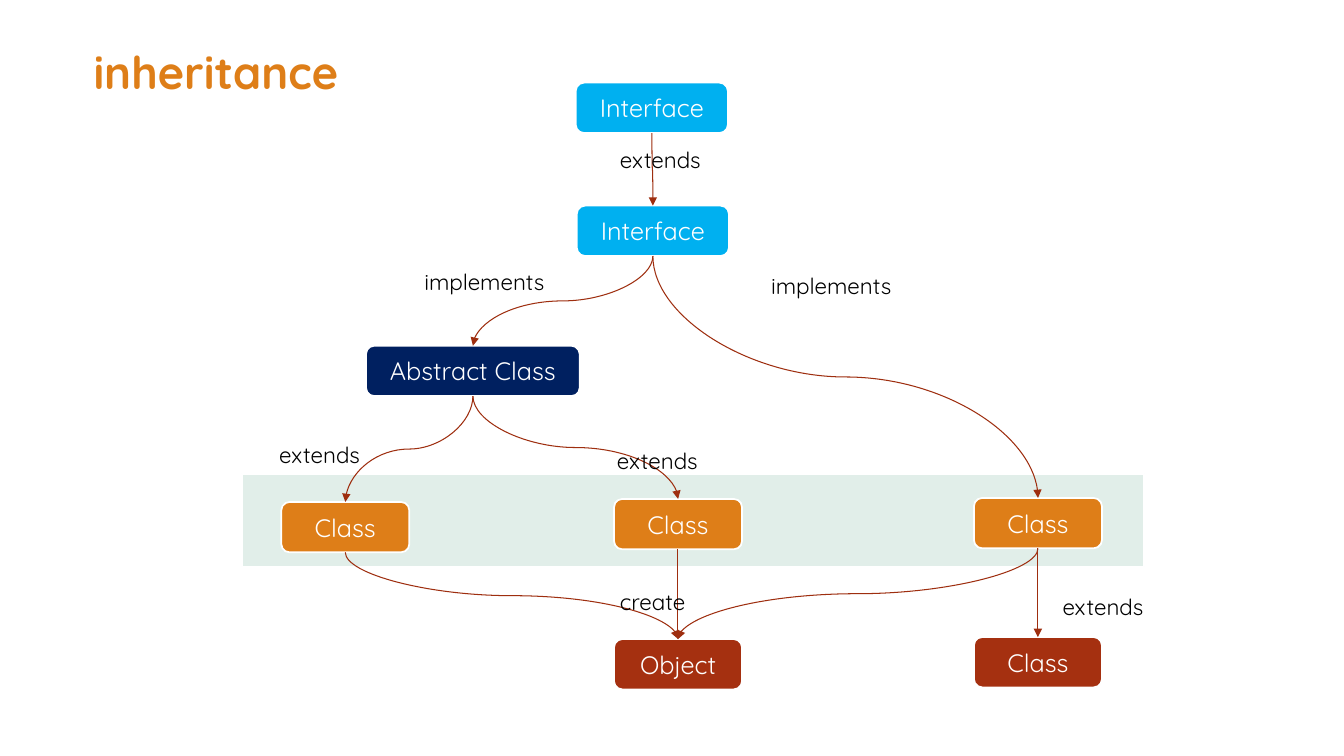
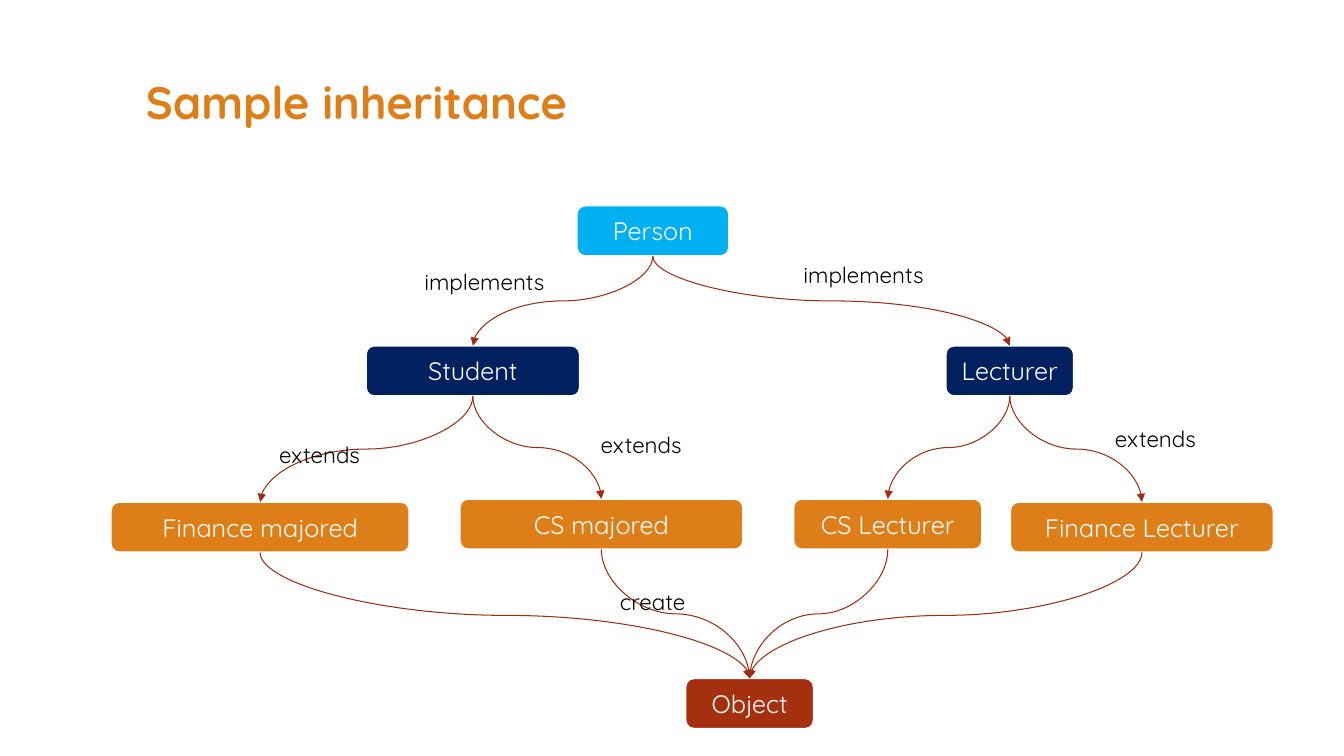
from lxml import etree
from pptx import Presentation
from pptx.dml.color import RGBColor
from pptx.enum.shapes import MSO_CONNECTOR as Link, MSO_SHAPE as Form
from pptx.enum.text import MSO_ANCHOR as Anchor, PP_ALIGN as Align
from pptx.oxml.ns import qn
from pptx.util import Inches, Pt

FONT = "Quicksand"
SKY, NAVY, ORANGE, RUST = "00B0F0", "002060", "DE7E18", "A53010"
WHITE, BLACK, MINT, WINE = "FFFFFF", "000000", "E1EEE9", "9E2E0F"
HIGH = 0.5


def paint(part, color):
    if hasattr(part, "solid"):
        part.solid()
        part.fore_color.rgb = RGBColor.from_string(color)
    else:
        part.color.rgb = RGBColor.from_string(color)


def write(shape, text, size, color, bold=False):
    frame = shape.text_frame
    frame.word_wrap = True
    frame.text = text
    font = frame.paragraphs[0].runs[0].font
    font.name, font.size, font.bold = FONT, Pt(size), bold
    paint(font, color)


pages = [
    {
        "title": ("inheritance", 0.83, 0.39),
        "band": (2.4, 4.7, 8.95, 0.92),
        "cards": {
            "top": ("Interface", 5.71, 0.82, 1.51, SKY),
            "face": ("Interface", 5.72, 2.04, 1.51, SKY),
            "base": ("Abstract Class", 3.63, 3.43, 2.12, NAVY),
            "left": ("Class", 2.79, 4.98, 1.27, ORANGE),
            "mid": ("Class", 6.09, 4.95, 1.27, ORANGE),
            "right": ("Class", 9.66, 4.94, 1.27, ORANGE),
            "object": ("Object", 6.09, 6.34, 1.27, RUST),
            "child": ("Class", 9.66, 6.32, 1.27, RUST),
        },
        "links": [
            ("top", "face"), ("face", "base"), ("face", "right"),
            ("base", "left"), ("base", "mid"), ("left", "object"),
            ("mid", "object"), ("right", "object"), ("right", "child"),
        ],
        "labels": [
            ("extends", 6.05, 1.4), ("implements", 4.11, 2.61),
            ("implements", 7.55, 2.65), ("extends", 2.67, 4.33),
            ("extends", 6.02, 4.39), ("create", 6.05, 5.79),
            ("extends", 10.44, 5.84),
        ],
    },
    {
        "title": ("Sample inheritance", 1.35, 0.69),
        "band": None,
        "cards": {
            "person": ("Person", 5.72, 2.04, 1.51, SKY),
            "student": ("Student", 3.63, 3.43, 2.12, NAVY),
            "teacher": ("Lecturer", 9.38, 3.43, 1.27, NAVY),
            "finance": ("Finance majored", 1.1, 4.98, 2.96, ORANGE),
            "coder": ("CS majored", 4.56, 4.95, 2.81, ORANGE),
            "cs": ("CS Lecturer", 7.87, 4.95, 1.87, ORANGE),
            "money": ("Finance Lecturer", 10.02, 4.98, 2.61, ORANGE),
            "object": ("Object", 6.8, 6.73, 1.27, RUST),
        },
        "links": [
            ("person", "student"), ("person", "teacher"),
            ("student", "finance"), ("student", "coder"),
            ("teacher", "cs"), ("teacher", "money"),
            ("finance", "object"), ("coder", "object"),
            ("cs", "object"), ("money", "object"),
        ],
        "labels": [
            ("implements", 4.11, 2.61), ("implements", 7.87, 2.54),
            ("extends", 2.67, 4.33), ("extends", 5.86, 4.23),
            ("extends", 10.96, 4.17), ("create", 6.05, 5.79),
        ],
    },
]

deck = Presentation()
deck.slide_width, deck.slide_height = Inches(13.33), Inches(7.5)

for page in pages:
    shapes = deck.slides.add_slide(deck.slide_layouts[6]).shapes

    if page["band"]:
        band = shapes.add_shape(Form.RECTANGLE, *map(Inches, page["band"]))
        band.shadow.inherit = False
        paint(band.fill, MINT)
        paint(band.line, WHITE)
        band.line.width = Pt(1.25)

    text, left, top = page["title"]
    title = shapes.add_textbox(Inches(left), Inches(top), Inches(5), Inches(0.76))
    write(title, text, 32.4, ORANGE, True)

    cards = {}
    for name, (text, left, top, wide, color) in page["cards"].items():
        card = shapes.add_shape(
            Form.ROUNDED_RECTANGLE, Inches(left), Inches(top), Inches(wide), Inches(HIGH)
        )
        card.shadow.inherit = False
        paint(card.fill, color)
        paint(card.line, WHITE)
        card.line.width = Pt(1.25)
        write(card, text, 18, WHITE)
        card.text_frame.vertical_anchor = Anchor.MIDDLE
        card.text_frame.paragraphs[0].alignment = Align.CENTER
        cards[name] = card

    for start, end in page["links"]:
        link = shapes.add_connector(Link.CURVE, 0, 0, 0, 0)
        link.begin_connect(cards[start], 2)
        link.end_connect(cards[end], 0)
        x, y = link.begin_x, link.begin_y
        across, down = link.end_x - x, link.end_y - y
        link.width, link.height = down, abs(across)
        link.left = x + (across - down) // 2
        link.top = y + (down - abs(across)) // 2
        props = link._element.spPr
        frame = props.find(qn("a:xfrm"))
        frame.attrib.clear()
        frame.set("rot", "5400000" if across < 0 else "16200000")
        if across >= 0:
            frame.set("flipH", "1")
        paint(link.line, WINE)
        link.line.width = Pt(0.75)
        edge = props.find(qn("a:ln"))
        etree.SubElement(edge, qn("a:tailEnd"), type="triangle")
        etree.SubElement(props, qn("a:effectLst"))

    for text, left, top in page["labels"]:
        label = shapes.add_textbox(Inches(left), Inches(top), Inches(1.5), Inches(0.37))
        write(label, text, 16, BLACK)

deck.save("out.pptx")
